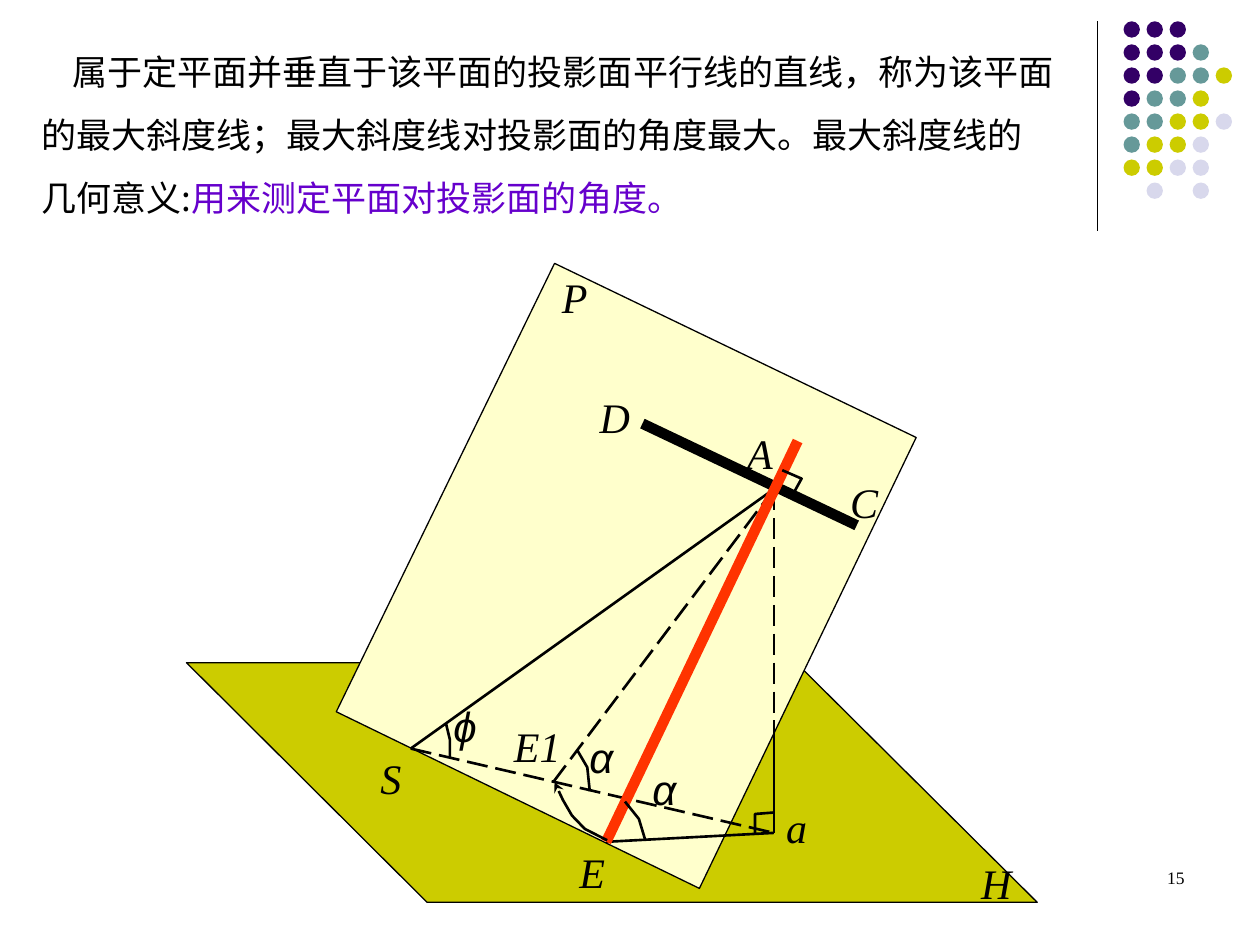
from lxml.etree import SubElement
from pptx import Presentation
from pptx.dml.color import RGBColor
from pptx.enum.dml import MSO_LINE
from pptx.enum.shapes import MSO_CONNECTOR, MSO_SHAPE
from pptx.enum.text import MSO_ANCHOR, MSO_AUTO_SIZE, PP_ALIGN
from pptx.oxml.ns import qn
from pptx.util import Cm, Pt

COLORS = {
    "black": "000000", "purple": "6600CC", "red": "FF3300",
    "plane_h": "CCCC00", "plane_p": "FFFFCC",
    "V": "330066", "T": "669999", "Y": "CCCC00", "L": "D8D8EC",
}
SERIF, SANS, CJK = "Times New Roman", "Arial", "Noto Sans CJK SC"
DOT_ROWS = ["VVV", "VVVT", "VVTTY", "VTTY", "TTYYL", "TYYL", "YYLL", " L L"]

# Points of the figure, in cm from its top left corner
A, FOOT, MID = (11.84, 4.55), (11.84, 11.48), (11.84, 9.42)
S, E, E1 = (4.52, 9.78), (8.46, 11.66), (7.39, 10.46)
C, D, TOP = (13.51, 5.28), (9.19, 3.23), (12.32, 3.58)
PLANES = {
    "plane_h": [(0, 8.05), (4.85, 12.88), (17.15, 12.88), (12.29, 8.05)],
    "plane_p": [(3.02, 9.04), (10.34, 12.6), (14.71, 3.51), (7.42, 0)],
}
SOLID_LINES = [(FOOT, E), (MID, FOOT), (A, S)]
DASHED_LINES = [(A, MID), (E1, A), (S, FOOT)]
ANGLE_MARKS = [
    [(12.01, 4.17), (12.4, 4.34), (12.19, 4.72)],
    [(11.84, 11.07), (11.46, 11.1), (11.46, 11.48)],
    [(8.84, 10.85), (9.12, 11.2), (9.25, 11.63)],
    [(7.87, 9.8), (8.08, 10.16), (8.13, 10.64)],
    [(5.23, 9.27), (5.31, 9.6), (5.31, 9.96)],
]
ROTATION = [(8.48, 11.63), (8.03, 11.4), (7.77, 11.13), (7.59, 10.82), (7.42, 10.46)]
LABELS = [  # text, left, top, width, font
    ("H", 15.77, 11.86, 2.24, SERIF), ("P", 7.32, 0.03, 1.5, SERIF),
    ("C", 13.13, 4.17, 1.5, SERIF), ("D", 8.08, 2.46, 1.5, SERIF),
    ("α", 9.14, 9.96, 1.35, SANS), ("a", 11.84, 10.72, 0.74, SERIF),
    ("E1", 6.35, 9.09, 1.85, SERIF), ("α", 7.87, 9.32, 1.35, SANS),
    ("S", 3.66, 9.73, 1.5, SERIF), ("ϕ", 5.13, 8.69, 1.5, SANS),
    ("A", 11.05, 3.18, 1.5, SERIF), ("E", 7.67, 11.63, 1.5, SERIF),
]


def rgb(name):
    return RGBColor.from_string(COLORS[name])


def style_line(line, color="black", width=1.5, dashed=False):
    line.color.rgb = rgb(color)
    line.width = Pt(width)
    if dashed:
        line.dash_style = MSO_LINE.LONG_DASH


def add_line(slide, start, end, **style):
    ends = [Cm(v) for v in (*start, *end)]
    line = slide.shapes.add_connector(MSO_CONNECTOR.STRAIGHT, *ends)
    style_line(line.line, **style)
    SubElement(line._element.spPr, qn("a:effectLst"))


def add_outline(slide, points, fill=None, **style):
    pts = [(Cm(x), Cm(y)) for x, y in points]
    builder = slide.shapes.build_freeform(*pts[0])
    builder.add_line_segments(pts[1:], close=fill is not None)
    sp = builder.convert_to_shape()
    sp.shadow.inherit = False
    if fill:
        sp.fill.solid()
        sp.fill.fore_color.rgb = rgb(fill)
    else:
        sp.fill.background()
    style_line(sp.line, **style)
    return sp


def add_text(slide, text, left, top, width, font, size, italic=False):
    tf = slide.shapes.add_textbox(Cm(left), Cm(top), Cm(width), Cm(1.27)).text_frame
    tf.word_wrap = True
    tf.text = text
    p = tf.paragraphs[0]
    f = p.runs[0].font
    f.name, f.size, f.italic = font, Pt(size), italic
    f.color.rgb = rgb("black")
    return p


def add_definition(slide, left, top, width, height):
    title = slide.shapes.title
    title.left, title.top, title.width, title.height = map(Cm, (left, top, width, height))
    tf = title.text_frame
    tf.word_wrap = True
    tf.auto_size = MSO_AUTO_SIZE.NONE
    tf.vertical_anchor = MSO_ANCHOR.TOP
    p = tf.paragraphs[0]
    p.alignment = PP_ALIGN.LEFT
    p.line_spacing = 1.5
    p.space_before = Pt(0)
    p._p.get_or_add_pPr().set("indent", str(Cm(0.62)))
    parts = [
        ("属于定平面并垂直于该平面的投影面平行线的直线，称为该平面的最大斜度线；"
         "最大斜度线对投影面的角度最大。最大斜度线的几何意义:", "black"),
        ("用来测定平面对投影面的角度。", "purple"),
    ]
    for text, color in parts:
        r = p.add_run()
        r.text = text
        r.font.name, r.font.size = CJK, Pt(20)
        r.font.color.rgb = rgb(color)
        SubElement(r._r.get_or_add_rPr(), qn("a:ea"), typeface=CJK)


def add_decoration(slide, left, top, height):
    # Vertical rule
    add_line(slide, (left, top), (left, top + 4.22), width=0.75)
    # Dot grid
    size = 0.33
    pitch = (height - size) / (len(DOT_ROWS) - 1)
    for row, codes in enumerate(DOT_ROWS):
        for col, code in enumerate(codes):
            if code == " ":
                continue
            x, y = left + 0.53 + col * pitch, top + row * pitch
            dot = slide.shapes.add_shape(MSO_SHAPE.OVAL, Cm(x), Cm(y), Cm(size), Cm(size))
            dot.shadow.inherit = False
            dot.fill.solid()
            dot.fill.fore_color.rgb = rgb(code)
            dot.line.fill.background()


def add_figure(slide, left, top):
    def place(*points):
        return [(left + x, top + y) for x, y in points]

    # Planes
    for fill, corners in PLANES.items():
        add_outline(slide, place(*corners), fill=fill, width=0.75)
    # Line CD, construction lines and line AE
    add_line(slide, *place(D, C), width=6)
    for ends in SOLID_LINES:
        add_line(slide, *place(*ends))
    for ends in DASHED_LINES:
        add_line(slide, *place(*ends), dashed=True)
    add_line(slide, *place(E, TOP), color="red", width=6)
    # Angle marks and rotation arrow
    for mark in ANGLE_MARKS:
        add_outline(slide, place(*mark))
    arrow = add_outline(slide, place(*ROTATION))
    SubElement(arrow.line._get_or_add_ln(), qn("a:tailEnd"), type="stealth")
    # Labels
    for text, x, y, width, font in LABELS:
        add_text(slide, text, left + x, top + y, width, font, 24, italic=True)


def main():
    prs = Presentation()
    prs.slide_width, prs.slide_height = Cm(25.4), Cm(19.05)
    slide = prs.slides.add_slide(prs.slide_layouts[5])
    add_decoration(slide, 22.12, 0.43, 3.58)
    add_figure(slide, 3.76, 5.31)
    add_definition(slide, 0.58, 0.46, 20.96, 4.06)
    # Slide number
    p = add_text(slide, "15", 18.21, 17.35, 5.92, SERIF, 10)
    p.alignment = PP_ALIGN.RIGHT
    prs.save("out.pptx")


if __name__ == "__main__":
    main()
